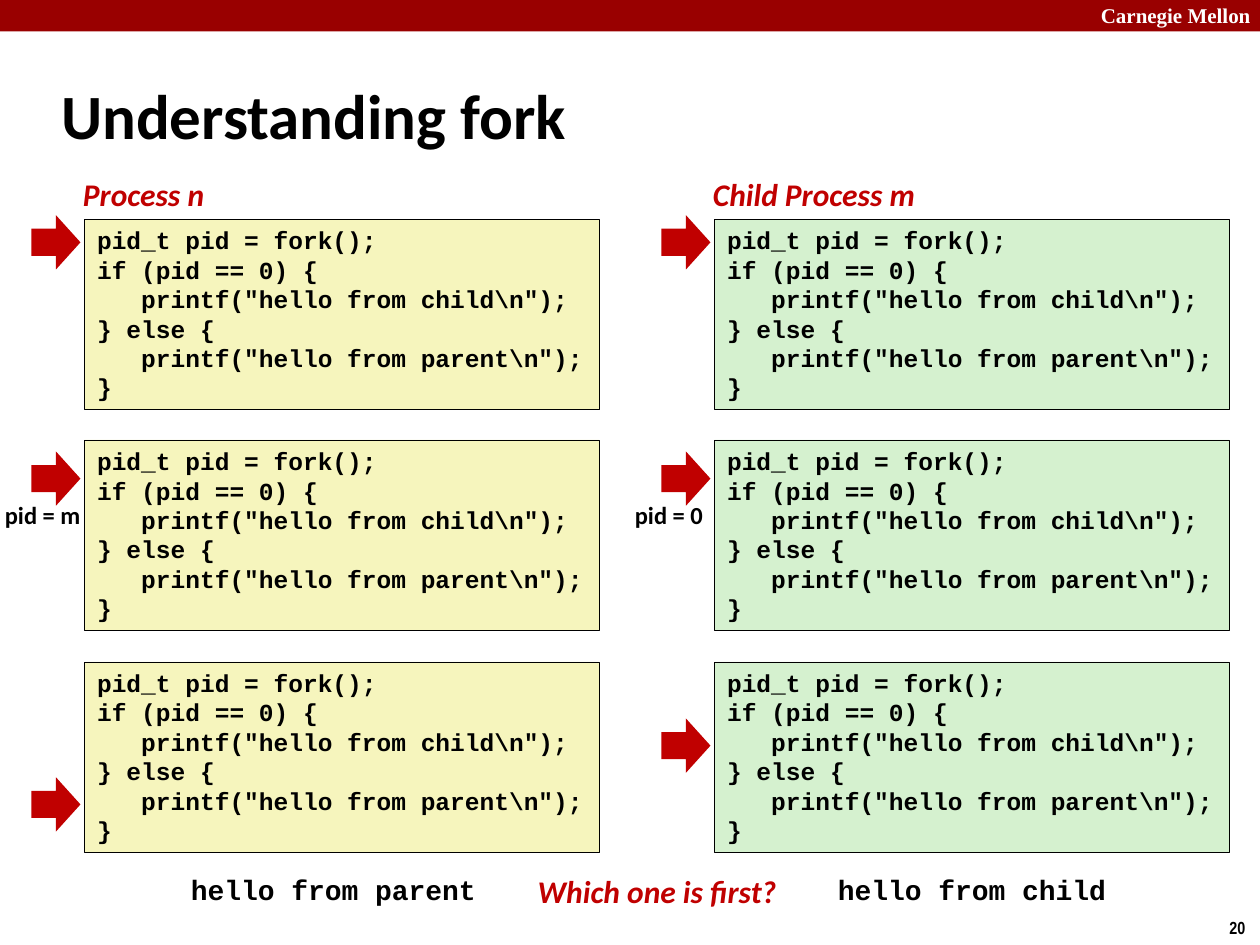
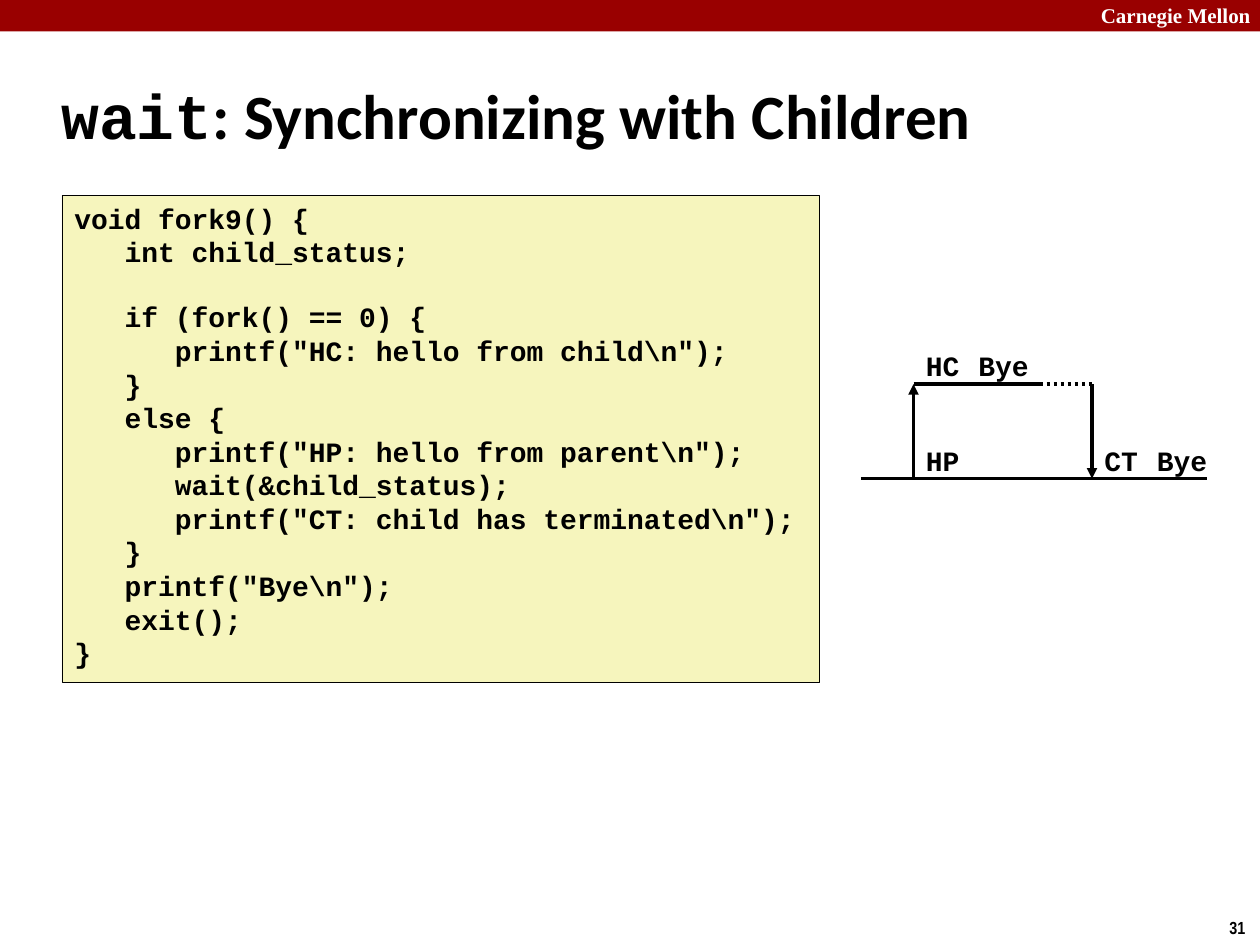
from pptx import Presentation
from pptx.dml.color import RGBColor
from pptx.enum.dml import MSO_LINE_DASH_STYLE as DASH
from pptx.enum.shapes import MSO_CONNECTOR as CONNECTOR, MSO_SHAPE as SHAPE
from pptx.enum.text import MSO_ANCHOR as ANCHOR, PP_ALIGN as ALIGN
from pptx.oxml.ns import qn
from pptx.util import Pt
from lxml import etree

BAND = RGBColor(0x99, 0x00, 0x00)
RED = RGBColor(0xC0, 0x00, 0x00)
BLACK = RGBColor(0x00, 0x00, 0x00)
WHITE = RGBColor(0xFF, 0xFF, 0xFF)
YELLOW = RGBColor(0xF6, 0xF5, 0xBD)
GREEN = RGBColor(0xD5, 0xF1, 0xCF)

# Text styles: font settings and colour
TITLE = dict(name="Calibri", size=Pt(36), bold=True), BLACK
TITLE_CODE = dict(name="Courier New", size=Pt(36), bold=True), BLACK
HEADING = dict(name="Calibri", size=Pt(18), bold=True, italic=True), RED
NOTE = dict(name="Calibri", size=Pt(14), bold=True), BLACK
CODE = dict(name="Courier New", size=Pt(14), bold=True), BLACK
BIG_CODE = dict(name="Courier New", size=Pt(16), bold=True), BLACK
BRAND = dict(name="Times New Roman", size=Pt(12), bold=True), WHITE
NUMBER = dict(name="Arial Narrow", size=Pt(10), bold=True), BLACK

FORK_CODE = r'''pid_t pid = fork();
if (pid == 0) {
   printf("hello from child\n");
} else {
   printf("hello from parent\n");
}'''

WAIT_CODE = r'''void fork9() {
   int child_status;

   if (fork() == 0) {
      printf("HC: hello from child\n");
   }
   else {
      printf("HP: hello from parent\n");
      wait(&child_status);
      printf("CT: child has terminated\n");
   }
   printf("Bye\n");
   exit();
}'''


def add_shape(s, preset, x, y, w, h, fill, outlined=False):
    sp = s.shapes.add_shape(preset, Pt(x), Pt(y), Pt(w), Pt(h))
    sp.shadow.inherit = False
    sp.fill.solid()
    sp.fill.fore_color.rgb = fill
    if outlined:
        sp.line.color.rgb = BLACK
        sp.line.width = Pt(0.25)
    else:
        sp.line.fill.background()
    return sp


def add_text(sp, *runs, anchor=ANCHOR.TOP):
    """Write (text, style) runs; a blank line becomes space before the next."""
    tf = sp.text_frame
    tf.word_wrap = False
    tf.vertical_anchor = anchor
    p = tf.paragraphs[0]
    p.alignment = ALIGN.LEFT
    for text, (settings, colour) in runs:
        gap = False
        for i, line in enumerate(text.split("\n")):
            if not line:
                gap = True
                continue
            if i:
                p = tf.add_paragraph()
                p.alignment = ALIGN.LEFT
            if gap:
                p.space_before = Pt(18)
                gap = False
            r = p.add_run()
            r.text = line
            for key, value in settings.items():
                setattr(r.font, key, value)
            r.font.color.rgb = colour


prs = Presentation()
prs.slide_width, prs.slide_height = Pt(720), Pt(540)

# Shared band, title and slide number
slides = []
for number, title in [
    ("20", [("Understanding fork", TITLE)]),
    ("31", [("wait", TITLE_CODE), (": Synchronizing with Children", TITLE)]),
]:
    s = prs.slides.add_slide(prs.slide_layouts[6])
    add_shape(s, SHAPE.RECTANGLE, 0, 0, 720, 18, BAND)
    sp = s.shapes.add_textbox(Pt(622), Pt(-2), Pt(103), Pt(21.6))
    add_text(sp, ("Carnegie Mellon", BRAND))
    sp = s.shapes.add_textbox(Pt(695.5), Pt(520.6), Pt(24.5), Pt(19.4))
    add_text(sp, (number, NUMBER))
    sp = s.shapes.add_textbox(Pt(28), Pt(35.3), Pt(598), Pt(60))
    add_text(sp, *title, anchor=ANCHOR.MIDDLE)
    slides.append(s)
fork_slide, wait_slide = slides

# Parent and child columns: three steps each, an arrow at the current line
s = fork_slide
for left, fill, heading, heading_w, pid, pid_w, arrow_tops in [
    (0, YELLOW, "Process n", 85, "pid = m", 58.3, (123, 258, 444.2)),
    (360, GREEN, "Child Process m", 132, "pid = 0", 54, (123, 258, 410.6)),
]:
    for code_top, arrow_top in zip((125.3, 251.4, 378.2), arrow_tops):
        sp = add_shape(s, SHAPE.RECTANGLE, left + 48.4, code_top, 293.8, 108.8,
                       fill, outlined=True)
        add_text(sp, (FORK_CODE, CODE))
        add_shape(s, SHAPE.RIGHT_ARROW, left + 18, arrow_top, 28, 31, RED)
    sp = s.shapes.add_textbox(Pt(left + 40.3), Pt(96.2), Pt(heading_w), Pt(29))
    add_text(sp, (heading, HEADING))
    sp = s.shapes.add_textbox(Pt(left - 4.3), Pt(282.4), Pt(pid_w), Pt(24.2))
    add_text(sp, (pid, NOTE))

for x, w, text, style in [
    (102, 180, "hello from parent", BIG_CODE),
    (300.2, 153.4, "Which one is first?", HEADING),
    (471.7, 170, "hello from child", BIG_CODE),
]:
    sp = s.shapes.add_textbox(Pt(x), Pt(495), Pt(w), Pt(27))
    add_text(sp, (text, style))

# Code beside the process graph
s = wait_slide
sp = add_shape(s, SHAPE.RECTANGLE, 35.4, 111.5, 433, 278.6, YELLOW, outlined=True)
add_text(sp, (WAIT_CODE, BIG_CODE))

START, FORK, PRINTED, CHILD_EXIT, WAITED, BYE, END = (
    492, 522, 552, 594, 624, 654, 690)
CHILD_Y, PARENT_Y = 219.5, 273.5

parent_stops = [START, FORK, PRINTED, CHILD_EXIT, WAITED, BYE, END]
edges = [(x1, PARENT_Y, x2, PARENT_Y, None)
         for x1, x2 in zip(parent_stops, parent_stops[1:])]
edges += [
    (FORK, PARENT_Y, FORK, CHILD_Y, "arrow"),
    (FORK, CHILD_Y, PRINTED, CHILD_Y, None),
    (PRINTED, CHILD_Y, CHILD_EXIT, CHILD_Y, None),
    (CHILD_EXIT, CHILD_Y, WAITED, CHILD_Y, "dots"),
    (WAITED, CHILD_Y, WAITED, PARENT_Y, "arrow"),
]
for x1, y1, x2, y2, look in edges:
    c = s.shapes.add_connector(CONNECTOR.STRAIGHT, Pt(x1), Pt(y1), Pt(x2), Pt(y2))
    c.line.color.rgb = BLACK
    c.line.width = Pt(2)
    if look == "dots":
        c.line.dash_style = DASH.ROUND_DOT
    if look == "arrow":
        etree.SubElement(c.line._get_or_add_ln(), qn("a:tailEnd"), type="triangle")
    etree.SubElement(c._element.spPr, qn("a:effectLst"))

for x, y, w, text in [
    (FORK, CHILD_Y, 34, "HC"),
    (PRINTED, CHILD_Y, 43.4, "Bye"),
    (FORK, PARENT_Y, 34, "HP"),
    (WAITED, PARENT_Y, 34, "CT"),
    (BYE, PARENT_Y, 43.4, "Bye"),
]:
    sp = s.shapes.add_textbox(Pt(x), Pt(y - 23.6), Pt(w), Pt(26.6))
    add_text(sp, (text, BIG_CODE))

prs.save("out.pptx")
